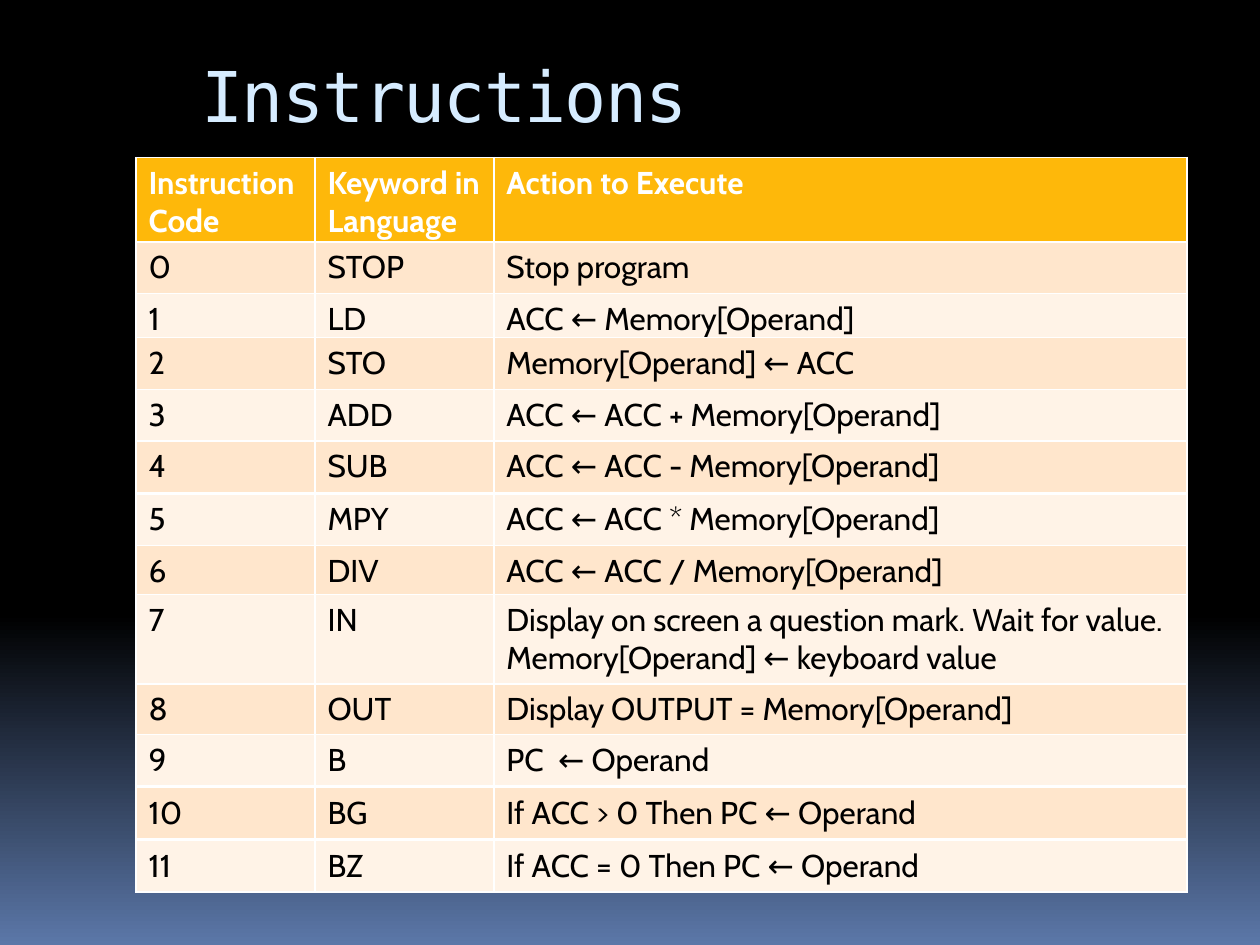
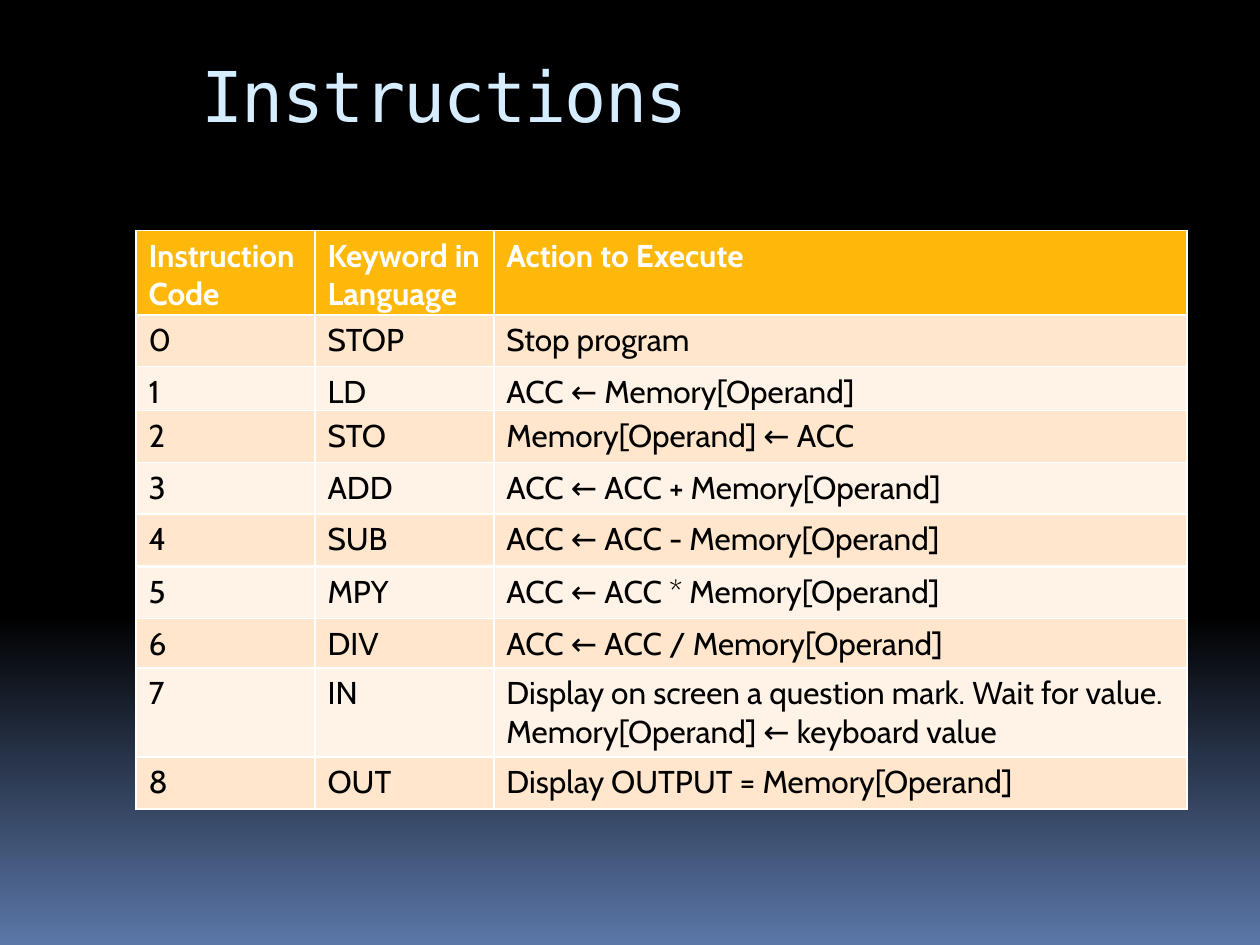
import copy
from dataclasses import dataclass

from lxml import etree
from pptx import Presentation
from pptx.dml.color import RGBColor
from pptx.enum.text import MSO_ANCHOR, MSO_AUTO_SIZE, PP_ALIGN
from pptx.oxml.ns import qn
from pptx.util import Inches, Pt

LEFT = PP_ALIGN.LEFT
TOP = MSO_ANCHOR.TOP
NO_AUTOFIT = MSO_AUTO_SIZE.NONE
TITLE_ONLY = 5


@dataclass(frozen=True)
class Theme:
    background: tuple = ((0, "000000"), (0.65, "000000"), (1, "5B77A8"))
    title_color: str = "D6ECFF"
    header_fill: str = "FEB80A"
    header_color: str = "FFFFFF"
    body_color: str = "000000"
    bands: tuple = ("FFE6CC", "FFF3E7")
    border: str = "FFFFFF"
    title_font: str = "DejaVu Sans Mono"
    body_font: str = "Cabin"
    title_size: int = 40
    body_size: int = 18
    thin: int = 1
    thick: int = 3


HEADER = ("Instruction Code", "Keyword in Language", "Action to Execute")
INSTRUCTIONS = (
    ("STOP", "Stop program"),
    ("LD", "ACC ← Memory[Operand]"),
    ("STO", "Memory[Operand] ← ACC"),
    ("ADD", "ACC ← ACC + Memory[Operand]"),
    ("SUB", "ACC ← ACC - Memory[Operand]"),
    ("MPY", "ACC ← ACC * Memory[Operand]"),
    ("DIV", "ACC ← ACC / Memory[Operand]"),
    ("IN", "Display on screen a question mark. Wait for value.\n"
           "Memory[Operand] ← keyboard value"),
    ("OUT", "Display OUTPUT = Memory[Operand]"),
    ("B", "PC  ← Operand"),
    ("BG", "If ACC > 0 Then PC ← Operand"),
    ("BZ", "If ACC = 0 Then PC ← Operand"),
)
OFFSETS = (0.67, 1.08, 1.43, 1.84, 2.25, 2.67, 3.08, 3.47, 4.18, 4.58, 5, 5.42)
TABLE_LEFT = 1.08
COLUMNS = (1.42, 1.42, 5.5)
ROW_HEIGHT = 0.41
TALL_HEIGHT = 0.7


class Deck:
    def __init__(self, theme):
        self.theme = theme
        self.prs = Presentation()
        self.prs.slide_width = Inches(10)
        self.prs.slide_height = Inches(7.5)
        self.slide = None
        self.paint_background()

    def paint_background(self):
        master = self.prs.slide_master
        fill = master.background.fill
        fill.gradient()
        fill.gradient_angle = 270
        stops = master.element.find(".//" + qn("a:gsLst"))
        stops.append(copy.deepcopy(stops[0]))
        for stop, (position, color) in zip(fill.gradient_stops, self.theme.background):
            stop.position = position
            stop.color.rgb = RGBColor.from_string(color)

    def add_slide(self, title):
        self.slide = self.prs.slides.add_slide(self.prs.slide_layouts[TITLE_ONLY])
        sp = self.slide.shapes.title
        sp.left, sp.top = Inches(1.5), Inches(0.33)
        sp.width, sp.height = Inches(8.5), Inches(1)
        tf = sp.text_frame
        tf.text = title
        tf.auto_size = NO_AUTOFIT
        tf.vertical_anchor = TOP
        tf.margin_top = Inches(0.09)
        p = tf.paragraphs[0]
        p.alignment = LEFT
        r = p.runs[0]
        self.format_run(r, self.theme.title_font, self.theme.title_size,
                        self.theme.title_color)
        r._r.get_or_add_rPr().set("spc", "-100")

    def format_run(self, r, font, size, color, bold=False):
        r.font.name = font
        r.font.size = Pt(size)
        r.font.bold = bold
        r.font.color.rgb = RGBColor.from_string(color)

    def add_border(self, cell, bottom):
        tcPr = cell._tc.get_or_add_tcPr()
        widths = (self.theme.thin,) * 3 + (bottom,)
        for i, (side, width) in enumerate(zip("LRTB", widths)):
            ln = etree.Element(qn("a:ln" + side), w=str(Pt(width)))
            fill = etree.SubElement(ln, qn("a:solidFill"))
            etree.SubElement(fill, qn("a:srgbClr"), val=self.theme.border)
            tcPr.insert(i, ln)

    def add_row(self, texts, top, height, fill, color, bold=False, bottom=1):
        frame = self.slide.shapes.add_table(
            1, len(texts), Inches(TABLE_LEFT), Inches(top),
            Inches(sum(COLUMNS)), Inches(height))
        table = frame.table
        table.first_row = table.horz_banding = False
        for column, width, cell, text in zip(
                table.columns, COLUMNS, table.rows[0].cells, texts):
            column.width = Inches(width)
            cell.fill.solid()
            cell.fill.fore_color.rgb = RGBColor.from_string(fill)
            self.add_border(cell, bottom)
            cell.text_frame.text = text
            for p in cell.text_frame.paragraphs:
                for r in p.runs:
                    self.format_run(r, self.theme.body_font, self.theme.body_size,
                                    color, bold)

    def add_instructions(self, top, instructions):
        theme = self.theme
        self.add_row(HEADER, top, TALL_HEIGHT, theme.header_fill,
                     theme.header_color, True, theme.thick)
        for code, (keyword, action) in enumerate(instructions):
            height = TALL_HEIGHT if "\n" in action else ROW_HEIGHT
            self.add_row((str(code), keyword, action), top + OFFSETS[code], height,
                         theme.bands[code % 2], theme.body_color)


deck = Deck(Theme())
for table_top, count in ((1.25, 12), (1.83, 9)):
    deck.add_slide("Instructions")
    deck.add_instructions(table_top, INSTRUCTIONS[:count])
deck.prs.save("out.pptx")
